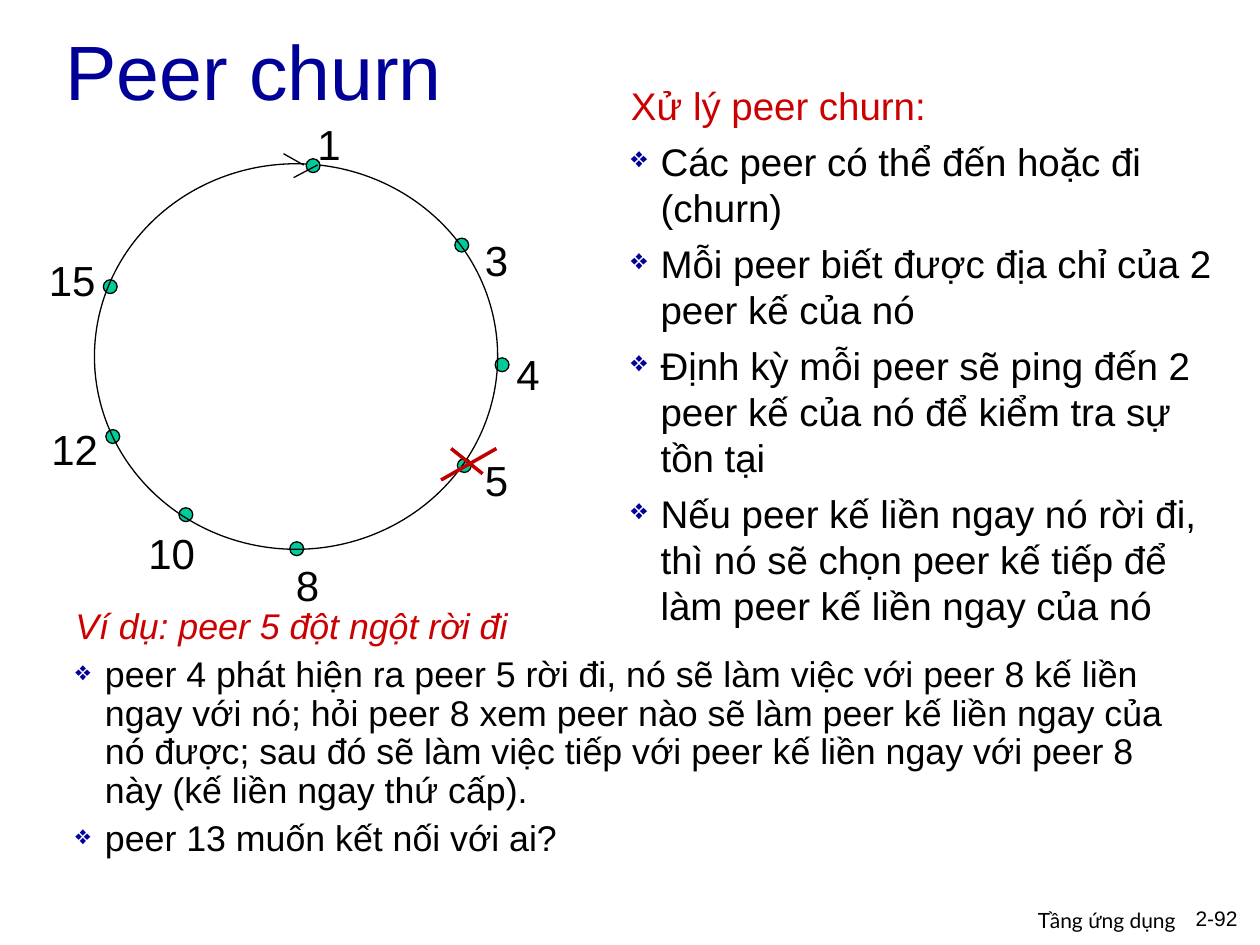
from lxml.etree import SubElement
from pptx import Presentation
from pptx.dml.color import RGBColor
from pptx.enum.shapes import MSO_CONNECTOR, MSO_SHAPE
from pptx.enum.text import MSO_ANCHOR, PP_ALIGN
from pptx.oxml.ns import qn
from pptx.util import Inches, Pt

BLACK, NAVY, RED, CROSS, GREEN = "000000", "000099", "CC0000", "C00000", "00CC99"
DOT = 0.11
HANG = 0.235

# peer: dot left, dot top, label left, label top
PEERS = {
    "3": (3.61, 1.89, 3.75, 1.81),
    "4": (3.93, 2.84, 4, 2.72),
    "5": (3.63, 3.64, 3.75, 3.56),
    "8": (2.3, 4.3, 2.25, 4.39),
    "10": (1.42, 4.03, 1.08, 4.14),
    "12": (0.84, 3.41, 0.31, 3.31),
    "15": (0.82, 2.22, 0.29, 1.97),
    "1": (2.43, 1.26, 2.42, 0.89),
}
ARROW = [(2.25, 1.22, 2.41, 1.31), (2.52, 1.31, 2.33, 1.41)]
FAILED = [(3.58, 3.56, 3.83, 3.76), (3.94, 3.56, 3.5, 3.81)]

RULES = [
    "Các peer có thể đến hoặc đi (churn)",
    "Mỗi peer biết được địa chỉ của 2 peer kế của nó",
    "Định kỳ mỗi peer sẽ ping đến 2 peer kế của nó để kiểm tra sự tồn tại",
    "Nếu peer kế liền ngay nó rời đi, thì nó sẽ chọn peer kế tiếp để "
    "làm peer kế liền ngay của nó",
]
CASE = [
    "peer 4 phát hiện ra peer 5 rời đi, nó sẽ làm việc với peer 8 kế liền "
    "ngay với nó; hỏi peer 8 xem peer nào sẽ làm peer kế liền ngay của nó "
    "được; sau đó sẽ làm việc tiếp với peer kế liền ngay với peer 8 này "
    "(kế liền ngay thứ cấp).",
    "peer 13 muốn kết nối với ai?",
]


def color(code):
    return RGBColor.from_string(code)


def style(par, size, code=BLACK, **more):
    par.font.color.rgb = color(code)
    for name, value in {"size": Pt(size), "name": "Arial", **more}.items():
        setattr(par.font, name, value)


def add_frame(slide, box, wrap=True, anchor=MSO_ANCHOR.TOP):
    frame = slide.shapes.add_textbox(*map(Inches, box)).text_frame
    frame.word_wrap = wrap
    frame.vertical_anchor = anchor
    return frame


def add_text(slide, box, text, size, code=BLACK, font="Arial",
             align=PP_ALIGN.LEFT, **layout):
    par = add_frame(slide, box, **layout).paragraphs[0]
    par.text = text
    par.alignment = align
    style(par, size, code, name=font)


def add_bullet(par):
    props = par._p.get_or_add_pPr()
    props.set("marL", str(Inches(HANG)))
    props.set("indent", str(-Inches(HANG)))
    tint = SubElement(props, qn("a:buClr"))
    SubElement(tint, qn("a:srgbClr"), val=NAVY)
    SubElement(props, qn("a:buSzPct"), val="75000")
    SubElement(props, qn("a:buChar"), char="❖")


def add_list(slide, box, head, items, size, spacing=1.0, italic=False):
    """Red heading followed by diamond bullets."""
    frame = add_frame(slide, box)
    par = frame.paragraphs[0]
    par.text = head
    par.line_spacing = spacing
    style(par, size, RED, italic=italic)
    for item in items:
        par = frame.add_paragraph()
        par.text = item
        par.line_spacing = spacing
        par.space_before = Pt(5.5)
        add_bullet(par)
        style(par, size)


def add_oval(slide, box, fill=None):
    oval = slide.shapes.add_shape(MSO_SHAPE.OVAL, *map(Inches, box))
    oval.shadow.inherit = False
    if fill:
        oval.fill.solid()
        oval.fill.fore_color.rgb = color(fill)
    else:
        oval.fill.background()
    oval.line.color.rgb = color(BLACK)
    oval.line.width = Pt(0.75)


def add_line(slide, ends, code, width):
    line = slide.shapes.add_connector(MSO_CONNECTOR.STRAIGHT, *map(Inches, ends))
    line.line.color.rgb = color(code)
    line.line.width = Pt(width)
    SubElement(line._element.spPr, qn("a:effectLst"))


def add_ring(slide):
    for name, (left, top, _, _) in PEERS.items():
        if name == "1":  # the first peer lies over the ring
            add_oval(slide, (0.75, 1.3, 3.2, 3.06))
        add_oval(slide, (left, top, DOT, DOT), GREEN)
    for name, (_, _, left, top) in PEERS.items():
        width = 0.38 if len(name) == 1 else 0.57
        add_text(slide, (left, top, width, 0.5), name, 24, wrap=False)
    for ends in ARROW:
        add_line(slide, ends, BLACK, 0.75)
    for ends in FAILED:
        add_line(slide, ends, CROSS, 2)


def main():
    deck = Presentation()
    deck.slide_width, deck.slide_height = Inches(10), Inches(7.5)
    slide = deck.slides.add_slide(deck.slide_layouts[6])
    add_text(slide, (0.42, 0, 9, 1.11), "Peer churn", 44, NAVY,
             anchor=MSO_ANCHOR.MIDDLE)
    add_list(slide, (0.5, 4.78, 9, 2.33), "Ví dụ: peer 5 đột ngột rời đi",
             CASE, 20.4, spacing=0.9, italic=True)
    add_ring(slide)
    add_list(slide, (4.91, 0.6, 4.84, 4.44), "Xử lý peer churn:", RULES, 22)
    add_text(slide, (8.33, 7.14, 1.59, 0.31), "2-92", 12, align=PP_ALIGN.RIGHT)
    add_text(slide, (6.26, 7.15, 3.17, 0.31), "Tầng ứng dụng", 12,
             font="Lato", align=PP_ALIGN.RIGHT)
    deck.save("out.pptx")


if __name__ == "__main__":
    main()
